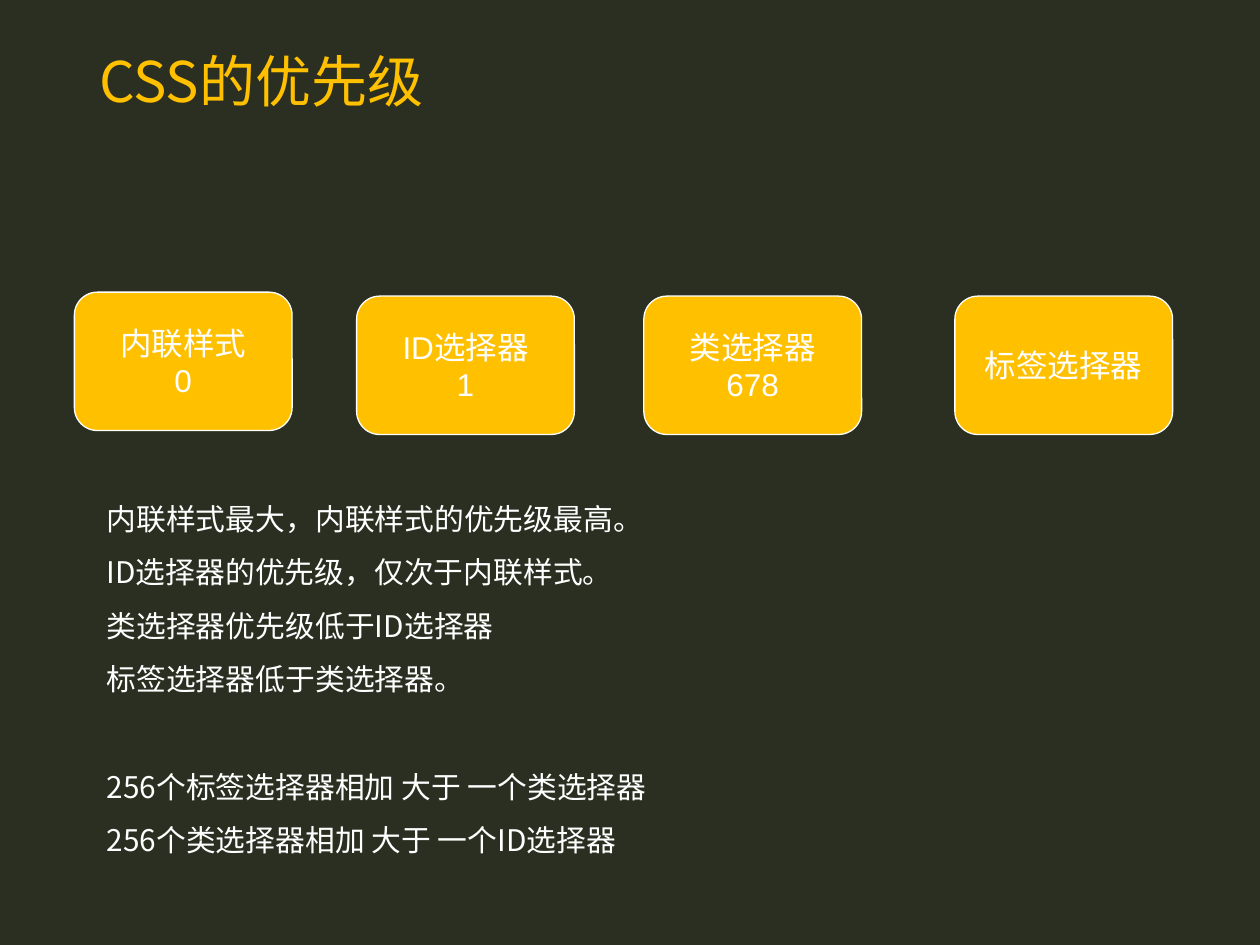
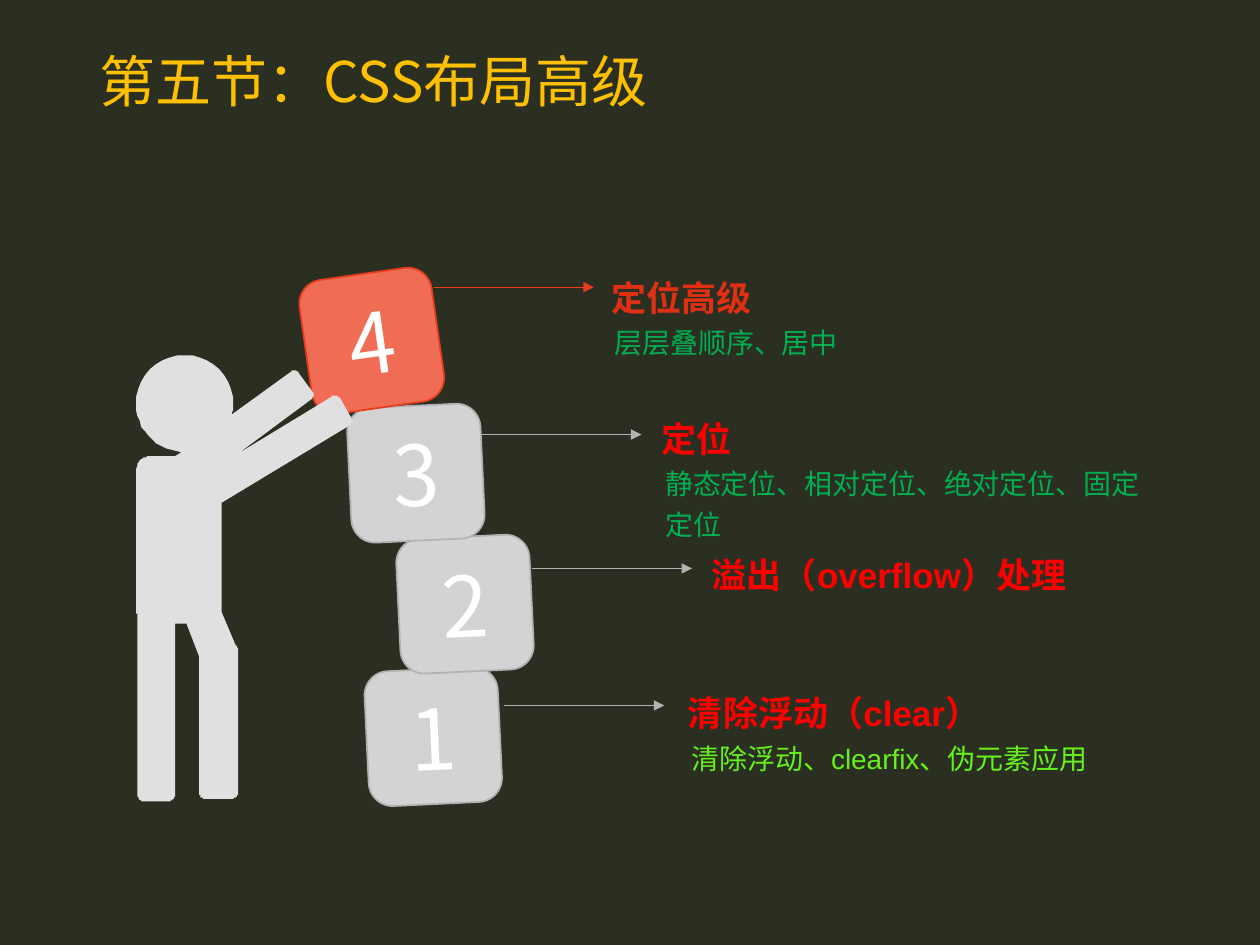
from dataclasses import dataclass
from typing import Optional

from lxml.etree import SubElement
from pptx import Presentation
from pptx.dml.color import RGBColor
from pptx.enum.shapes import MSO_CONNECTOR, MSO_SHAPE
from pptx.enum.text import MSO_ANCHOR, PP_ALIGN
from pptx.oxml.ns import qn
from pptx.util import Cm, Pt

DARK = RGBColor(0x2A, 0x2F, 0x21)
GOLD = RGBColor(0xFF, 0xC0, 0x00)
WHITE = RGBColor(0xFF, 0xFF, 0xFF)
LIGHT_GRAY = RGBColor(0xD3, 0xD3, 0xD3)
EDGE_GRAY = RGBColor(0xB2, 0xB2, 0xB2)
FIGURE_GRAY = RGBColor(0xE0, 0xE0, 0xE0)
CORAL = RGBColor(0xF0, 0x6C, 0x55)
EDGE_RED = RGBColor(0xE9, 0x3C, 0x1F)
DARK_RED = RGBColor(0xDF, 0x30, 0x13)
RED = RGBColor(0xFF, 0x00, 0x00)
GREEN = RGBColor(0x00, 0xB0, 0x50)
LIME = RGBColor(0x67, 0xF1, 0x1B)

ARIAL = "Arial"
NOTO_SC = "Noto Sans CJK SC"
NOTO_JP = "Noto Sans CJK JP"


@dataclass(frozen=True)
class Style:
    font: str
    size: float
    color: RGBColor
    bold: bool = False
    spacing: float = 1.0
    align: PP_ALIGN = PP_ALIGN.LEFT


@dataclass(frozen=True)
class Selector:
    left: float
    top: float
    text: str


@dataclass(frozen=True)
class Step:
    """A numbered block, its arrow and its topic; lengths in cm."""
    number: str
    block: tuple[float, float]
    arrow: tuple[float, float]
    label: tuple[float, float]
    heading: str
    detail: Optional[str] = None
    heading_color: RGBColor = RED
    detail_color: RGBColor = GREEN
    fill: RGBColor = LIGHT_GRAY
    edge: RGBColor = EDGE_GRAY
    rotation: float = -2.7


TITLE = Style(NOTO_SC, 32, GOLD, spacing=0.9)
SELECTOR = Style(ARIAL, 18, WHITE, align=PP_ALIGN.CENTER)
BODY = Style(NOTO_SC, 17, WHITE, spacing=1.5, align=PP_ALIGN.JUSTIFY)
NUMBER = Style(NOTO_JP, 48, WHITE, align=PP_ALIGN.CENTER)

SELECTORS = [
    Selector(1.5, 5.89, "内联样式\n0"),
    Selector(7.19, 5.97, "ID选择器\n1"),
    Selector(12.98, 5.97, "类选择器\n678"),
    Selector(19.25, 5.97, "标签选择器"),
]
RULES = [
    "内联样式最大，内联样式的优先级最高。",
    "ID选择器的优先级，仅次于内联样式。",
    "类选择器优先级低于ID选择器",
    "标签选择器低于类选择器。",
    "256个标签选择器相加 大于 一个类选择器",
    "256个类选择器相加 大于 一个ID选择器",
]
SUMS_START = 4

STEPS = [
    Step("1", (7.39, 13.49), (10.16, 14.22), (13.87, 13.61),
         "清除浮动（clear）", "清除浮动、clearfix、伪元素应用", detail_color=LIME),
    Step("2", (8.03, 10.82), (10.72, 11.46), (14.35, 10.82), "溢出（overflow）处理"),
    Step("3", (7.04, 8.18), (9.7, 8.76), (13.34, 8.08),
         "定位", "静态定位、相对定位、绝对定位、固定定位"),
    Step("4", (6.15, 5.51), (8.74, 5.79), (12.32, 5.23),
         "定位高级", "层层叠顺序、居中", heading_color=DARK_RED,
         fill=CORAL, edge=EDGE_RED, rotation=-8.1),
]

# Pushing figure, in units of 0.0254 cm: pairs are corners, sextets are Bézier curves
FIGURE_UNIT = Cm(2.54) / 100
FIGURE = [
    (147, 282), (168, 282, 185, 299, 185, 321), (185, 323, 185, 326, 184, 328),
    # arms
    (184, 329), (231, 295), (233, 293, 236, 294, 237, 296), (248, 311),
    (250, 313, 249, 315, 247, 317), (189, 360), (263, 315),
    (266, 313, 268, 314, 270, 316), (279, 332), (280, 334, 280, 337, 277, 338),
    # right leg
    (176, 399), (176, 486), (187, 512), (188, 513, 189, 515, 189, 516),
    (189, 629), (189, 632, 186, 634, 184, 634), (163, 634),
    (160, 634, 158, 632, 158, 629), (158, 521), (148, 495),
    # left leg
    (139, 495), (139, 631), (139, 633, 136, 636, 134, 636), (114, 636),
    (111, 636, 109, 633, 109, 631), (109, 488), (108, 487, 108, 485, 108, 484),
    # back and head
    (108, 374), (108, 367, 113, 362, 119, 362), (139, 362), (144, 359),
    (132, 356), (118, 350, 108, 337, 108, 321), (108, 299, 125, 282, 147, 282),
]


def write(sp, text: str, style: Style) -> None:
    tf = sp.text_frame
    tf.text = text
    for p in tf.paragraphs:
        p.alignment = style.align
        p.line_spacing = style.spacing
        for r in p.runs:
            r.font.name = style.font
            r.font.size = Pt(style.size)
            r.font.bold = style.bold
            r.font.color.rgb = style.color
            if style.font != ARIAL:
                SubElement(r.font._element, qn("a:ea"), typeface=style.font)


def add_text(slide, left: float, top: float, width: float, height: float, text: str,
             style: Style, anchor=MSO_ANCHOR.TOP, inset_x: float = 0, inset_y: float = 0):
    sp = slide.shapes.add_textbox(Cm(left), Cm(top), Cm(width), Cm(height))
    tf = sp.text_frame
    tf.word_wrap = True
    tf.vertical_anchor = anchor
    tf.margin_left = tf.margin_right = Cm(inset_x)
    tf.margin_top = tf.margin_bottom = Cm(inset_y)
    write(sp, text, style)
    return sp


def add_box(slide, left: float, top: float, width: float, height: float, text: str,
            style: Style, fill: RGBColor, edge: RGBColor, edge_width: float):
    sp = slide.shapes.add_shape(MSO_SHAPE.ROUNDED_RECTANGLE,
                                Cm(left), Cm(top), Cm(width), Cm(height))
    sp.shadow.inherit = False
    sp.fill.solid()
    sp.fill.fore_color.rgb = fill
    sp.line.color.rgb = edge
    sp.line.width = Pt(edge_width)
    sp.text_frame.vertical_anchor = MSO_ANCHOR.MIDDLE
    write(sp, text, style)
    return sp


def add_arrow(slide, left: float, top: float, length: float, color: RGBColor) -> None:
    line = slide.shapes.add_connector(MSO_CONNECTOR.STRAIGHT, Cm(left), Cm(top),
                                      Cm(left + length), Cm(top))
    line.line.color.rgb = color
    line.line.width = Pt(0.5)
    SubElement(line.line._get_or_add_ln(), qn("a:tailEnd"), type="triangle")
    SubElement(line._element.spPr, qn("a:effectLst"))


def flatten(outline: list[tuple], steps: int = 10) -> list[tuple[float, float]]:
    """Turn corners and Bézier curves into a list of points."""
    points = []
    for part in outline:
        if len(part) == 2:
            points.append(part)
            continue
        (x0, y0), (x1, y1, x2, y2, x3, y3) = points[-1], part
        for i in range(1, steps + 1):
            t = i / steps
            a, b, c, d = (1 - t) ** 3, 3 * t * (1 - t) ** 2, 3 * t * t * (1 - t), t ** 3
            points.append((a * x0 + b * x1 + c * x2 + d * x3,
                           a * y0 + b * y1 + c * y2 + d * y3))
    return points


def add_figure(slide) -> None:
    start, *rest = flatten(FIGURE)
    builder = slide.shapes.build_freeform(*start, scale=FIGURE_UNIT)
    builder.add_line_segments(rest, close=True)
    sp = builder.convert_to_shape()
    sp.shadow.inherit = False
    sp.fill.solid()
    sp.fill.fore_color.rgb = FIGURE_GRAY
    sp.line.fill.background()


def add_step(slide, step: Step) -> None:
    sp = add_box(slide, *step.block, 2.69, 2.72, step.number, NUMBER,
                 step.fill, step.edge, 1)
    sp.adjustments[0] = 0.18
    sp.rotation = step.rotation
    add_arrow(slide, *step.arrow, 3.23, step.edge)


def add_topic(slide, step: Step) -> None:
    left, top = step.label
    if step.detail:
        add_text(slide, left + 0.07, top + 1.2, 9.68, 1.68, step.detail,
                 Style(ARIAL, 16, step.detail_color, spacing=1.2))
    add_text(slide, left, top, 9.75, 1.27, step.heading,
             Style(ARIAL, 20, step.heading_color, bold=True, spacing=1.3),
             MSO_ANCHOR.MIDDLE)


def new_slide(prs, title: str):
    slide = prs.slides.add_slide(prs.slide_layouts[6])
    add_text(slide, 1.75, 0.56, 21.92, 2.29, title, TITLE, MSO_ANCHOR.MIDDLE, 0.25, 0.13)
    return slide


def priority_slide(prs) -> None:
    slide = new_slide(prs, "CSS的优先级")
    for item in SELECTORS:
        sp = add_box(slide, item.left, item.top, 4.39, 2.79, item.text, SELECTOR,
                     GOLD, WHITE, 0.75)
        sp.text_frame.word_wrap = False
    sp = add_text(slide, 1.9, 9.73, 21.79, 8.41, "\n".join(RULES), BODY, inset_x=0.25)
    sp.text_frame.paragraphs[SUMS_START].space_before = Pt(30.6)


def layout_slide(prs) -> None:
    slide = new_slide(prs, "第五节：CSS布局高级")
    for step in STEPS:
        add_step(slide, step)
    add_figure(slide)
    for step in STEPS:
        add_topic(slide, step)


def main() -> None:
    prs = Presentation()
    prs.slide_width, prs.slide_height = Cm(25.4), Cm(19.05)
    # Shared background
    fill = prs.slide_master.background.fill
    fill.solid()
    fill.fore_color.rgb = DARK
    priority_slide(prs)
    layout_slide(prs)
    prs.save("out.pptx")


if __name__ == "__main__":
    main()
